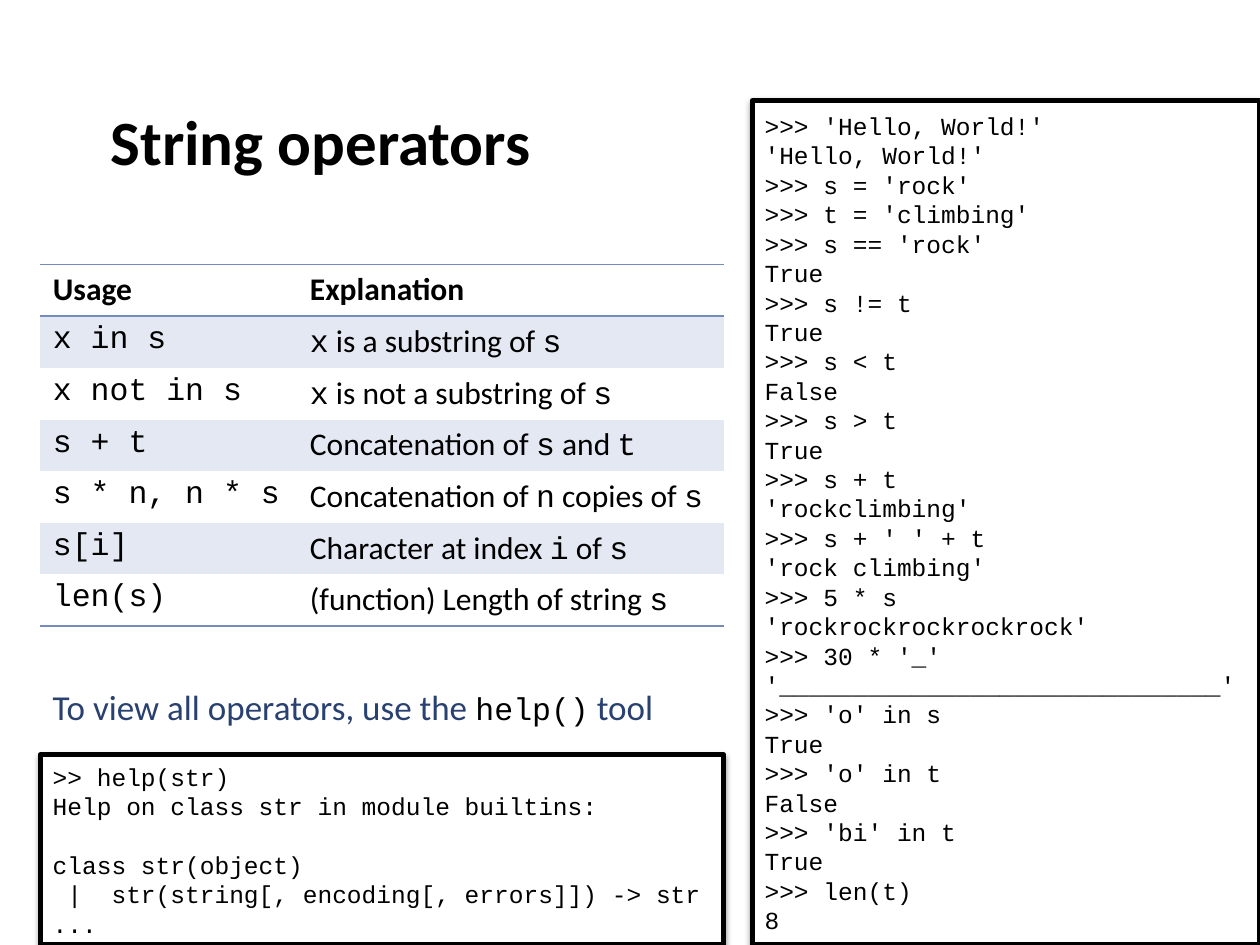
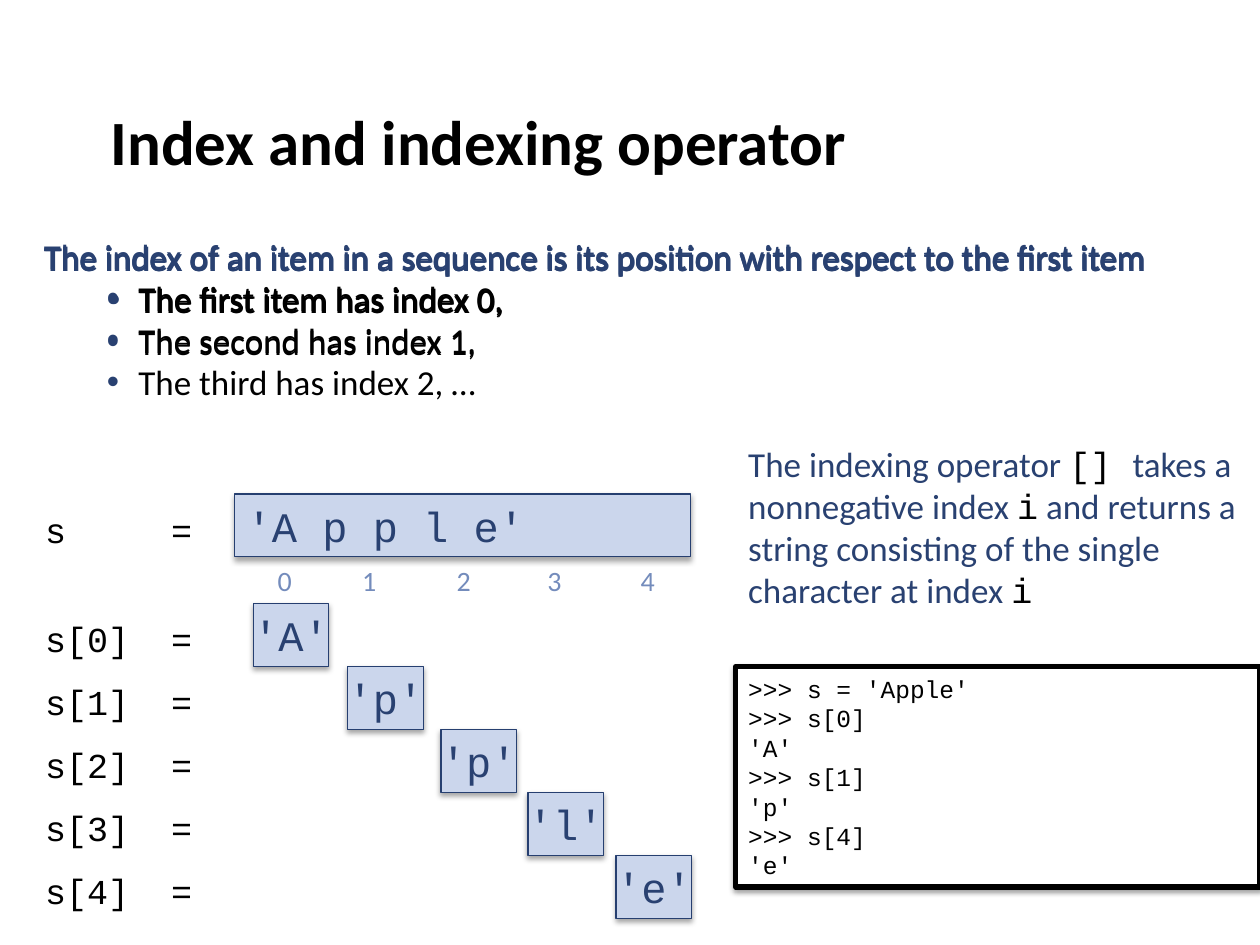
from lxml.etree import SubElement
from pptx import Presentation
from pptx.dml.color import RGBColor
from pptx.enum.shapes import MSO_SHAPE
from pptx.enum.text import MSO_ANCHOR, PP_ALIGN
from pptx.oxml.ns import qn
from pptx.util import Inches, Pt

WIDTH, HEIGHT = 10, 7.5
PROSE, CODE = "Calibri", "Courier New"
BLACK, WHITE, NAVY, EDGE = "000000", "FFFFFF", "294171", "263F70"
STEEL, PALE, BAND = "748CBC", "CBD6EC", "E3E8F2"
NO_STYLE = "{2D5ABB26-0587-4C30-8999-92F81FD0307C}"

OPERATORS_TITLE = "String operators"
OPERATORS = [
    ("Usage", "Explanation"),
    ("`x in s`", "`x` is a substring of `s`"),
    ("`x not in s`", "`x` is not a substring of `s`"),
    ("`s + t`", "Concatenation of `s` and `t`"),
    ("`s * n, n * s`", "Concatenation of `n` copies of `s`"),
    ("`s[i]`", "Character at index `i` of `s`"),
    ("`len(s)`", "(function) Length of string `s`"),
]
OPERATOR_COLUMNS, OPERATOR_ROW = (2.04, 3.39), 0.41
HELP_HINT = "To view all operators, use the `help()` tool"
HELP_SESSION = [
    ">> help(str)",
    "Help on class str in module builtins:",
    "class str(object)",
    " |  str(string[, encoding[, errors]]) -> str",
    "...",
]
OPERATOR_SESSION = [
    ">>> 'Hello, World!'", "'Hello, World!'",
    ">>> s = 'rock'", ">>> t = 'climbing'",
    ">>> s == 'rock'", "True",
    ">>> s != t", "True",
    ">>> s < t", "False",
    ">>> s > t", "True",
    ">>> s + t", "'rockclimbing'",
    ">>> s + ' ' + t", "'rock climbing'",
    ">>> 5 * s", "'rockrockrockrockrock'",
    ">>> 30 * '_'", "'" + "_" * 30 + "'",
    ">>> 'o' in s", "True",
    ">>> 'o' in t", "False",
    ">>> 'bi' in t", "True",
    ">>> len(t)", "8",
]

INDEX_TITLE = "Index and indexing operator"
INDEX_RULE = [
    "The index of an item in a sequence is its position with respect to the first item",
    "The first item has index 0,",
    "The second has index 1,",
    "The third has index 2, …",
]
RULE_STAGES = [(0.25, 1.83, 1), (0.26, 1.83, 2), (0.25, 1.83, 3), (0.25, 1.81, 4)]
SPACED_WORD = "'A p p l e'"
LETTERS = [("A", 2.01, 2.26), ("p", 2.76, 2.93), ("p", 3.5, 3.68),
           ("l", 4.19, 4.4), ("e", 4.89, 5.14)]
INDEXING = ("The indexing operator `[] `takes a nonnegative index `i` and returns a "
            "string consisting of the single character at index `i`")
INDEX_SESSION = [">>> s = 'Apple'", ">>> s[0]", "'A'", ">>> s[1]", "'p'",
                 ">>> s[4]", "'e'"]


def rgb(color):
    return RGBColor.from_string(color)


def inches(*lengths):
    return [Inches(length) for length in lengths]


def write(paragraph, text, size, color=BLACK, code_size=None, bold=False):
    for order, piece in enumerate(text.split("`")):
        if not piece:
            continue
        is_code = order % 2 == 1
        run = paragraph.add_run()
        run.text = piece
        run.font.name = CODE if is_code else PROSE
        run.font.size = Pt(code_size or size) if is_code else Pt(size)
        run.font.color.rgb = rgb(BLACK if is_code else color)
        run.font.bold = bold


def add_label(slide, at, text, size, color=BLACK, anchor=MSO_ANCHOR.MIDDLE, **style):
    frame = slide.shapes.add_textbox(*inches(*at)).text_frame
    frame.word_wrap = True
    frame.vertical_anchor = anchor
    write(frame.paragraphs[0], text, size, color, **style)
    return frame


def add_title(slide, text):
    frame = add_label(slide, (0.78, 0, 8.5, 1.61), text, 36,
                      anchor=MSO_ANCHOR.BOTTOM, bold=True)
    frame.margin_bottom = Inches(0.2)


def add_box(slide, at, lines, size, fill, edge, edge_width, color, opacity, distance):
    box = slide.shapes.add_shape(MSO_SHAPE.RECTANGLE, *inches(*at))
    box.fill.solid()
    box.fill.fore_color.rgb = rgb(fill)
    box.line.color.rgb = rgb(edge)
    box.line.width = Pt(edge_width)
    box.shadow.inherit = False
    effects = box._element.spPr.find(qn("a:effectLst"))
    shadow = SubElement(effects, qn("a:outerShdw"), blurRad=str(Pt(3.1)),
                        dist=str(Pt(distance)), dir="5400000", rotWithShape="0")
    tint = SubElement(shadow, qn("a:srgbClr"), val=BLACK)
    SubElement(tint, qn("a:alpha"), val=str(opacity * 1000))
    frame = box.text_frame
    frame.word_wrap = True
    frame.vertical_anchor = MSO_ANCHOR.MIDDLE
    frame.text = "\n".join(lines)
    for paragraph in frame.paragraphs:
        paragraph.alignment = PP_ALIGN.LEFT
        for run in paragraph.runs:
            run.font.name = CODE
            run.font.size = Pt(size)
            run.font.color.rgb = rgb(color)
    return frame


def add_session(slide, at, lines):
    frame = add_box(slide, at, lines, 14, WHITE, BLACK, 3, BLACK, 38, 1.6)
    for paragraph in frame.paragraphs:
        paragraph.line_spacing = Pt(16.8)
    return frame


def add_value(slide, at, text):
    return add_box(slide, at, [text], 24, PALE, EDGE, 0.75, NAVY, 35, 1.8)


def add_rule_line(cell, side):
    line = SubElement(cell._tc.get_or_add_tcPr(), qn("a:" + side), w=str(Pt(1)))
    fill = SubElement(line, qn("a:solidFill"))
    SubElement(fill, qn("a:srgbClr"), val=STEEL)


def add_operator_table(slide, left, top):
    rows, columns = len(OPERATORS), len(OPERATOR_COLUMNS)
    table = slide.shapes.add_table(
        rows, columns,
        *inches(left, top, sum(OPERATOR_COLUMNS), rows * OPERATOR_ROW)).table
    table.first_row = table.horz_banding = False
    table._tbl.tblPr.find(qn("a:tableStyleId")).text = NO_STYLE
    for column, width in zip(table.columns, OPERATOR_COLUMNS):
        column.width = Inches(width)
    for r, entries in enumerate(OPERATORS):
        table.rows[r].height = Inches(OPERATOR_ROW)
        for c, entry in enumerate(entries):
            cell = table.cell(r, c)
            write(cell.text_frame.paragraphs[0], entry, 18, bold=r == 0)
            if r == 0:
                add_rule_line(cell, "lnT")
            if r in (0, rows - 1):
                add_rule_line(cell, "lnB")
            if r % 2:
                cell.fill.solid()
                cell.fill.fore_color.rgb = rgb(BAND)
            else:
                cell.fill.background()


def add_bullet(paragraph, text):
    properties = paragraph._p.get_or_add_pPr()
    properties.set("lvl", "1")
    properties.set("marL", str(Inches(0.75)))
    properties.set("indent", str(-Inches(0.25)))
    tint = SubElement(properties, qn("a:buClr"))
    SubElement(tint, qn("a:srgbClr"), val=NAVY)
    SubElement(properties, qn("a:buFont"), typeface="Arial")
    SubElement(properties, qn("a:buChar"), char="•")
    write(paragraph, text, 20)


def add_expression(slide, top, expression):
    frame = add_label(slide, (0.26, top, 1.5, 0.44), f"`{expression}\t=`", 20)
    tabs = SubElement(frame.paragraphs[0]._p.get_or_add_pPr(), qn("a:tabLst"))
    SubElement(tabs, qn("a:tab"), pos=str(Inches(1)), algn="l")


def build_operators(slide):
    left, width, session_left, session_top = 0.32, 5.42, 5.97, 0.8
    add_title(slide, OPERATORS_TITLE)
    add_session(slide, (session_left, session_top, WIDTH - session_left,
                        HEIGHT - session_top), OPERATOR_SESSION)
    add_operator_table(slide, left, 2.1)
    help_frame = add_session(slide, (left, 5.99, width, HEIGHT - 5.99), HELP_SESSION)
    help_frame.paragraphs[2].space_before = Pt(16.8)
    add_label(slide, (left, 5.39, width, 0.44), HELP_HINT, 20, NAVY, code_size=18)


def build_indexing(slide):
    right_column, step, first_row = 5.84, 0.5, 4.79
    add_title(slide, INDEX_TITLE)
    add_expression(slide, 3.98, "s")
    add_value(slide, (1.86, 3.92, 3.62, step), SPACED_WORD)
    for index, (letter, left, digit_center) in enumerate(LETTERS):
        top = first_row + index * step
        add_expression(slide, top + 0.06, f"s[{index}]")
        value = add_value(slide, (left, top, 0.6, step), f"'{letter}'")
        value.word_wrap = False
        value.margin_left = value.margin_right = 0
        value.paragraphs[0].alignment = PP_ALIGN.CENTER
        digit = add_label(slide, (digit_center - 0.25, 4.42, 0.5, 0.37),
                          str(index), 16, STEEL)
        digit.paragraphs[0].alignment = PP_ALIGN.CENTER
    for left, top, shown in RULE_STAGES:
        rule = add_label(slide, (left, top, 9.27, 1.45), INDEX_RULE[0], 20, NAVY,
                         anchor=MSO_ANCHOR.TOP)
        for item in INDEX_RULE[1:shown]:
            add_bullet(rule.add_paragraph(), item)
    add_label(slide, (right_column, 3.45, 4.17, 1.45), INDEXING, 20, NAVY)
    add_session(slide, (right_column, 5.29, WIDTH - right_column, 1.75), INDEX_SESSION)


def main():
    deck = Presentation()
    deck.slide_width, deck.slide_height = inches(WIDTH, HEIGHT)
    for build in (build_operators, build_indexing):
        build(deck.slides.add_slide(deck.slide_layouts[6]))
    deck.save("out.pptx")


if __name__ == "__main__":
    main()
